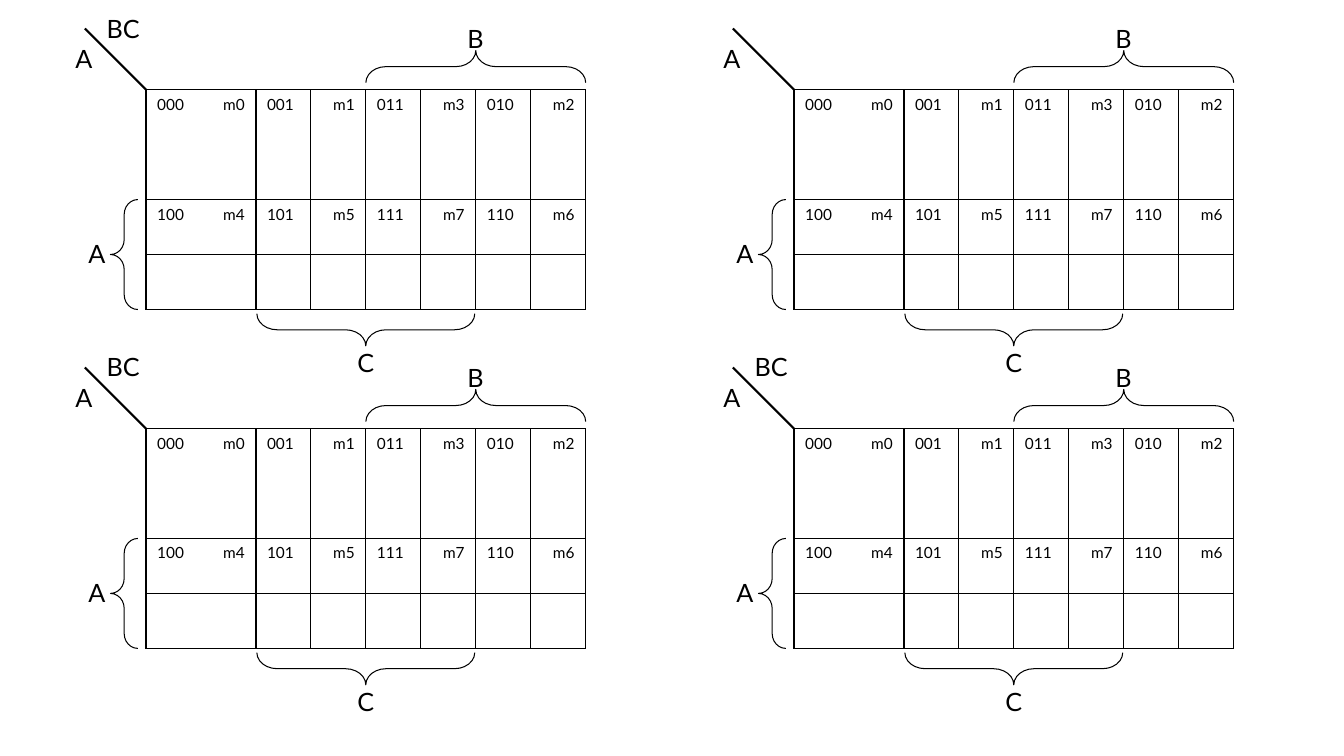
from itertools import product

from lxml import etree
from pptx import Presentation
from pptx.dml.color import RGBColor
from pptx.enum.shapes import MSO_CONNECTOR as Connector, MSO_SHAPE as Shape
from pptx.enum.text import MSO_AUTO_SIZE as AutoSize, PP_ALIGN as Align
from pptx.oxml import parse_xml
from pptx.oxml.ns import nsdecls, qn
from pptx.util import Cm, Pt

COLORS = {"ink": "000000"}
FONT = "Lato"
CELL = 2.77
GRAY_CODE = (0, 1, 3, 2)
PLAIN_TABLE = "{2D5ABB26-0587-4C30-8999-92F81FD0307C}"
MAP_LEFTS = (3.68, 20.01)
MAP_TOPS = (2.26, 10.8)
LABELS = (
    ("A", -2.03, -1.3, 0.91),
    ("BC", -1.24, -2.06, 1.55),
    ("A", -1.7, 3.63, 0.91),
    ("C", 5.08, 6.38, 0.91),
    ("B", 7.85, -1.8, 0.91),
)


def write(text_frame, text, size, align=Align.LEFT):
    """Set one paragraph of text and format it."""
    paragraph = text_frame.paragraphs[0]
    paragraph.text = text
    paragraph.alignment = align
    font = paragraph.runs[0].font
    font.name, font.size = FONT, Pt(size)
    font.color.rgb = RGBColor.from_string(COLORS["ink"])


def style_line(line, width):
    """Give a line the ink colour and a width in points."""
    line.color.rgb = RGBColor.from_string(COLORS["ink"])
    line.width = Pt(width)


def add_label(slide, text, left, top, width):
    """Add a variable name."""
    box = slide.shapes.add_textbox(Cm(left), Cm(top), Cm(width), Cm(1.02))
    box.text_frame.word_wrap = False
    box.text_frame.auto_size = AutoSize.SHAPE_TO_FIT_TEXT
    write(box.text_frame, text, 18)


def add_brace(slide, center_x, center_y, width, height, curve, rotation=0):
    """Add a brace turned about its centre."""
    brace = slide.shapes.add_shape(
        Shape.LEFT_BRACE, Cm(center_x - width / 2), Cm(center_y - height / 2),
        Cm(width), Cm(height))
    brace.adjustments[0] = curve
    brace.rotation = rotation
    brace.shadow.inherit = False
    brace.fill.background()
    style_line(brace.line, 0.75)


def add_corner_line(slide, left, top):
    """Add the diagonal that parts the row and column variables."""
    line = slide.shapes.add_connector(
        Connector.STRAIGHT, Cm(left), Cm(top), Cm(left - 1.54), Cm(top - 1.54))
    style_line(line.line, 1.5)
    etree.SubElement(line._element.spPr, qn("a:effectLst"))


def add_border(cell, side):
    """Draw one edge of a table cell."""
    cell._tc.get_or_add_tcPr().append(parse_xml(
        f'<a:ln{side} {nsdecls("a")} w="12700"><a:solidFill>'
        f'<a:srgbClr val="{COLORS["ink"]}"/></a:solidFill></a:ln{side}>'))


def add_grid(slide, left, top):
    """Add the table of minterms, each square made of four cells."""
    frame = slide.shapes.add_table(
        4, 8, Cm(left), Cm(top), Cm(4 * CELL), Cm(2 * CELL))
    table = frame.table
    table.first_row = table.horz_banding = False
    table._tbl.tblPr.find(qn("a:tableStyleId")).text = PLAIN_TABLE
    for column in table.columns:
        column.width = Cm(CELL / 2)
    for row in table.rows:
        row.height = Cm(CELL / 2)
    for row, column in product(range(4), range(8)):
        cell = table.cell(row, column)
        cell.margin_left = cell.margin_right = Cm(0.28)
        cell.margin_top = cell.margin_bottom = Cm(0.13)
        add_border(cell, "LR"[column % 2])
        add_border(cell, "TB"[row % 2])
        cell.fill.background()
        if row % 2 == 0:
            minterm = 4 * (row // 2) + GRAY_CODE[column // 2]
            if column % 2 == 0:
                write(cell.text_frame, f"{minterm:03b}", 11)
            else:
                write(cell.text_frame, f"m{minterm}", 11, Align.RIGHT)


def add_karnaugh_map(slide, left, top, labels):
    """Add a three-variable Karnaugh map with braces and labels."""
    add_brace(slide, left - 0.55, top + 1.5 * CELL, 0.69, CELL, 0.546)
    add_brace(slide, left + 3 * CELL, top - 0.58, 0.81, 2 * CELL, 0.625, 90)
    add_grid(slide, left, top)
    add_brace(slide, left + 2 * CELL, top + 6.05, 0.81, 5.49, 0.632, 270)
    add_corner_line(slide, left, top)
    for text, x, y, width in labels:
        add_label(slide, text, left + x, top + y, width)


def main():
    """Build the slide of four Karnaugh maps."""
    presentation = Presentation()
    presentation.slide_width, presentation.slide_height = Cm(33.87), Cm(19.05)
    slide = presentation.slides.add_slide(presentation.slide_layouts[6])
    without_columns = [label for label in LABELS if label[0] != "BC"]
    for left, top in product(MAP_LEFTS, MAP_TOPS):
        is_top_right = (left, top) == (MAP_LEFTS[1], MAP_TOPS[0])
        add_karnaugh_map(slide, left, top,
                         without_columns if is_top_right else LABELS)
    presentation.save("out.pptx")


if __name__ == "__main__":
    main()
